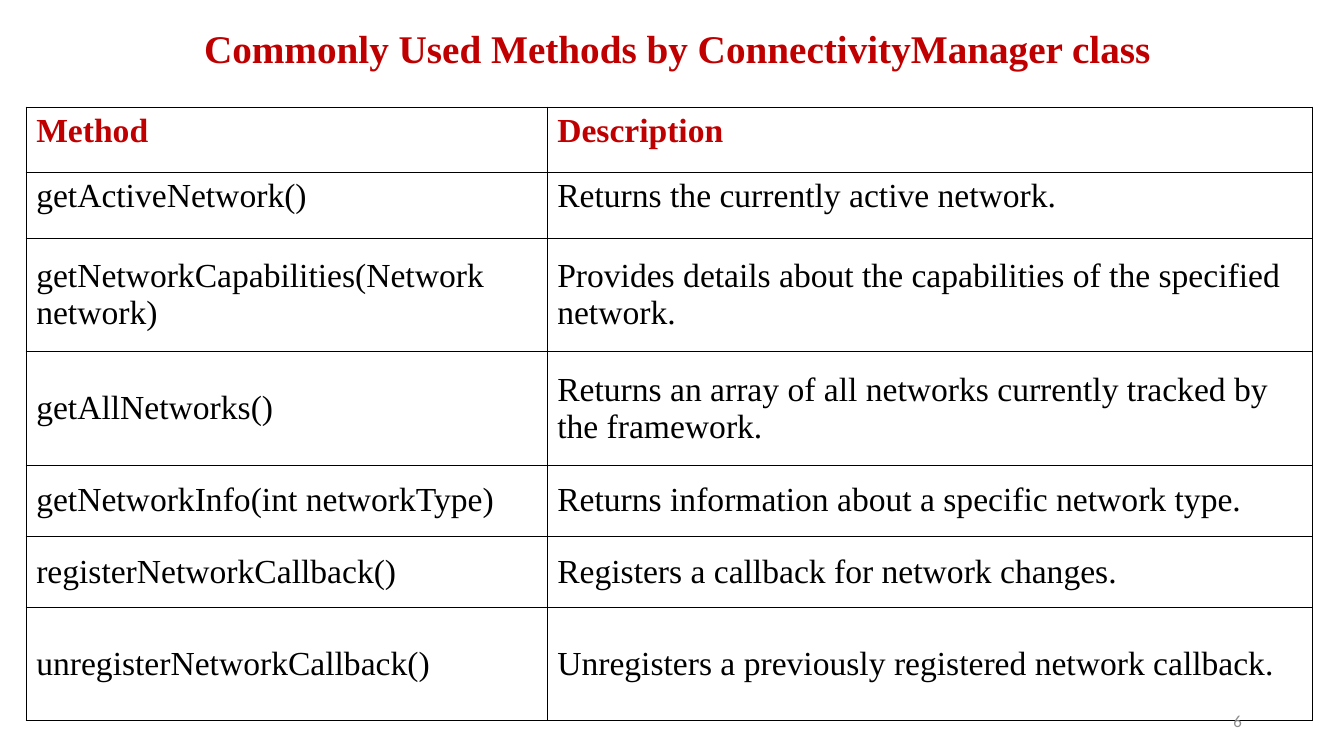
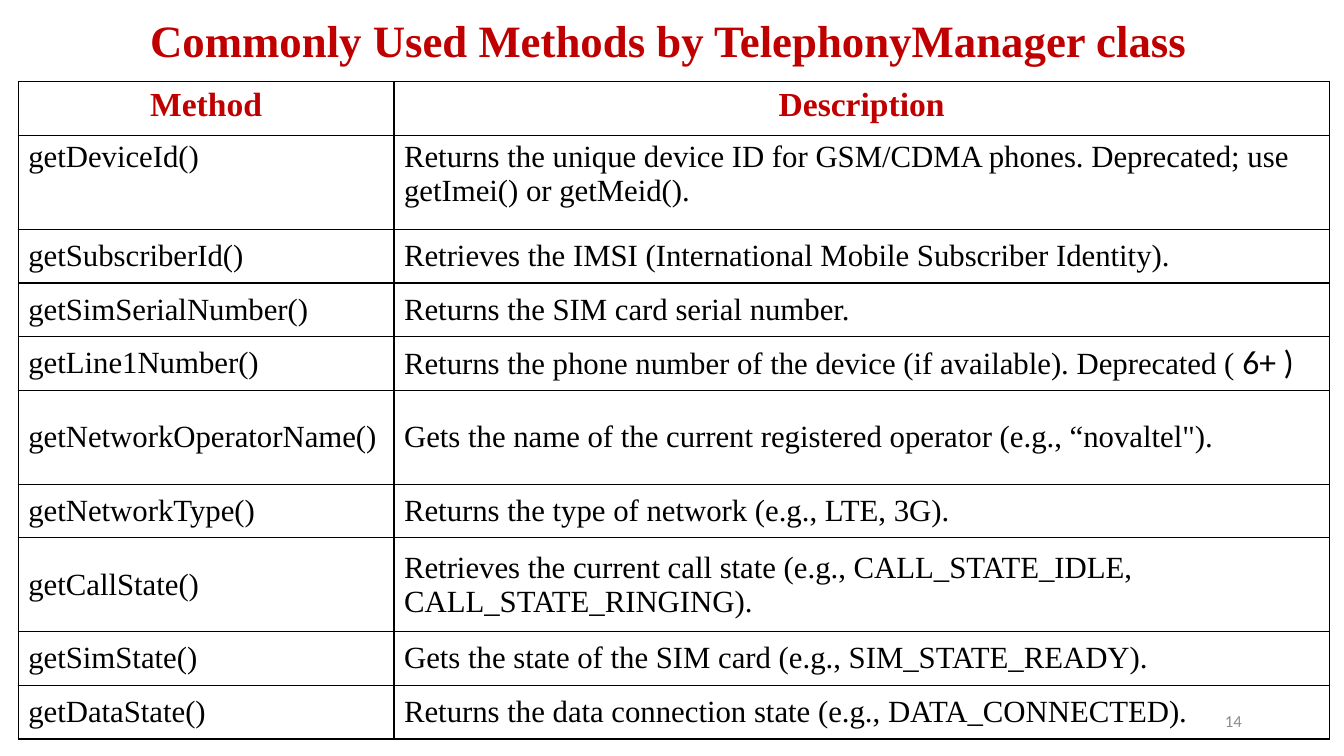
from dataclasses import dataclass

from lxml import etree
from pptx import Presentation
from pptx.dml.color import RGBColor
from pptx.enum.text import MSO_ANCHOR, MSO_AUTO_SIZE, PP_ALIGN
from pptx.oxml.ns import qn
from pptx.util import Cm, Pt

TOP, MIDDLE = MSO_ANCHOR.TOP, MSO_ANCHOR.MIDDLE
LEFT, CENTER, RIGHT = PP_ALIGN.LEFT, PP_ALIGN.CENTER, PP_ALIGN.RIGHT
NO_FIT = MSO_AUTO_SIZE.NONE
TITLE_ONLY = 5


@dataclass(frozen=True)
class Theme:
    accent: RGBColor = RGBColor(0xC0, 0x00, 0x00)
    text: RGBColor = RGBColor(0x00, 0x00, 0x00)
    muted: RGBColor = RGBColor(0x8C, 0x8C, 0x8C)
    border: str = "000000"
    border_width: int = Pt(1)
    serif: str = "Times New Roman"
    sans: str = "Calibri"
    header_size: int = 24
    number_size: int = 12


THEME = Theme()

# Content: a tuple in a cell is serif text followed by a sans-serif part
CONNECTIVITY_ROWS = [
    ("Method", "Description"),
    ("getActiveNetwork()", "Returns the currently active network."),
    ("getNetworkCapabilities(Network network)",
     "Provides details about the capabilities of the specified network."),
    ("getAllNetworks()",
     "Returns an array of all networks currently tracked by the framework."),
    ("getNetworkInfo(int networkType)",
     "Returns information about a specific network type."),
    ("registerNetworkCallback()", "Registers a callback for network changes."),
    ("unregisterNetworkCallback()",
     "Unregisters a previously registered network callback."),
]

TELEPHONY_ROWS = [
    ("Method", "Description"),
    ("getDeviceId()",
     "Returns the unique device ID for GSM/CDMA phones. Deprecated; use "
     "getImei() or getMeid()."),
    ("getSubscriberId()",
     "Retrieves the IMSI (International Mobile Subscriber Identity)."),
    ("getSimSerialNumber()", "Returns the SIM card serial number."),
    ("getLine1Number()",
     ("Returns the phone number of the device (if available). Deprecated ( ",
      "6+ )")),
    ("getNetworkOperatorName()",
     "Gets the name of the current registered operator (e.g., “novaltel\")."),
    ("getNetworkType()", "Returns the type of network (e.g., LTE, 3G)."),
    ("getCallState()",
     "Retrieves the current call state (e.g., CALL_STATE_IDLE, "
     "CALL_STATE_RINGING)."),
    ("getSimState()", "Gets the state of the SIM card (e.g., SIM_STATE_READY)."),
    ("getDataState()",
     "Returns the data connection state (e.g., DATA_CONNECTED)."),
]


def set_font(font, size, color, name=THEME.serif, bold=False):
    font.name, font.size, font.bold = name, Pt(size), bold
    font.color.rgb = color


def add_title(slide, text, left, width, height, size):
    sp = slide.shapes.title
    sp.left, sp.top = Cm(left), Cm(0.43)
    sp.width, sp.height = Cm(width), Cm(height)
    tf = sp.text_frame
    tf.text = text
    tf.auto_size, tf.vertical_anchor = NO_FIT, MIDDLE
    p = tf.paragraphs[0]
    p.alignment, p.line_spacing = CENTER, 0.9
    set_font(p.font, size, THEME.accent, bold=True)


def set_borders(cell):
    tc_pr = cell._tc.get_or_add_tcPr()
    for i, side in enumerate(("lnL", "lnR", "lnT", "lnB")):
        ln = etree.Element(qn(f"a:{side}"), w=str(THEME.border_width))
        fill = etree.SubElement(ln, qn("a:solidFill"))
        etree.SubElement(fill, qn("a:srgbClr"), val=THEME.border)
        tc_pr.insert(i, ln)


def fill_cell(cell, content, size, color, bold, align):
    p = cell.text_frame.paragraphs[0]
    p.alignment = align
    if isinstance(content, str):
        p.text = content
        set_font(p.font, size, color, bold=bold)
        return
    styles = ((size, THEME.serif), (THEME.header_size, THEME.sans))
    for text, (run_size, name) in zip(content, styles):
        r = p.add_run()
        r.text = text
        set_font(r.font, run_size, color, name, bold)


def add_method_table(slide, rows, left, top, widths, heights, size, header_align):
    frame = slide.shapes.add_table(len(rows), len(widths), Cm(left), Cm(top),
                                   Cm(sum(widths)), Cm(sum(heights)))
    table = frame.table
    table.first_row = table.horz_banding = False
    for column, width in zip(table.columns, widths):
        column.width = Cm(width)
    for i, (row, height) in enumerate(zip(rows, heights)):
        table.rows[i].height = Cm(height)
        for j, content in enumerate(row):
            cell = table.cell(i, j)
            cell.fill.background()
            set_borders(cell)
            # The header and the first method sit at the top of their cells
            cell.vertical_anchor = TOP if i < 2 else MIDDLE
            if i == 0:
                fill_cell(cell, content, THEME.header_size, THEME.accent, True,
                          header_align)
            else:
                fill_cell(cell, content, size, THEME.text, False, LEFT)


def add_page_number(slide, number):
    sp = slide.shapes.add_textbox(Cm(23.93), Cm(17.65), Cm(7.62), Cm(1.02))
    tf = sp.text_frame
    tf.word_wrap, tf.vertical_anchor = True, MIDDLE
    p = tf.paragraphs[0]
    p.text, p.alignment = str(number), RIGHT
    set_font(p.font, THEME.number_size, THEME.muted, THEME.sans)


def main():
    prs = Presentation()
    prs.slide_width, prs.slide_height = Cm(33.87), Cm(19.05)
    layout = prs.slide_layouts[TITLE_ONLY]

    # ConnectivityManager methods
    s = prs.slides.add_slide(layout)
    add_title(s, "Commonly Used Methods by ConnectivityManager class",
              1.09, 31.95, 1.7, 28)
    add_method_table(s, CONNECTIVITY_ROWS, 0.66, 2.7, (13.13, 19.28),
                     (1.65, 1.65, 2.86, 2.86, 1.79, 1.79, 2.86), 24, LEFT)
    add_page_number(s, 6)

    # TelephonyManager methods
    s = prs.slides.add_slide(layout)
    add_title(s, "Commonly Used Methods by TelephonyManager class",
              1.2, 31.3, 1.3, 32)
    single, double = 1.35, 2.37
    heights = [double if i in (1, 5, 7) else single
               for i in range(len(TELEPHONY_ROWS))]
    add_method_table(s, TELEPHONY_ROWS, 0.46, 2.06, (9.47, 23.57), heights, 22,
                     CENTER)
    add_page_number(s, 14)

    prs.save("out.pptx")


if __name__ == "__main__":
    main()
